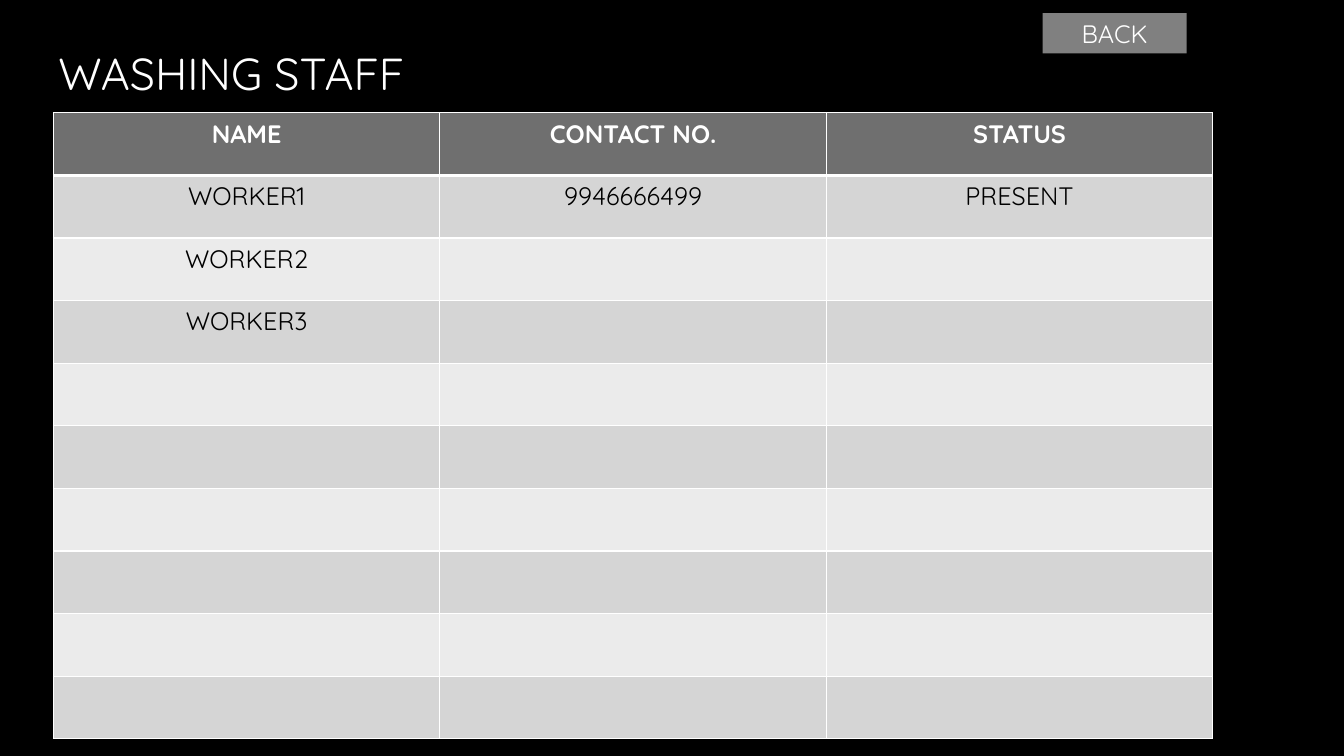
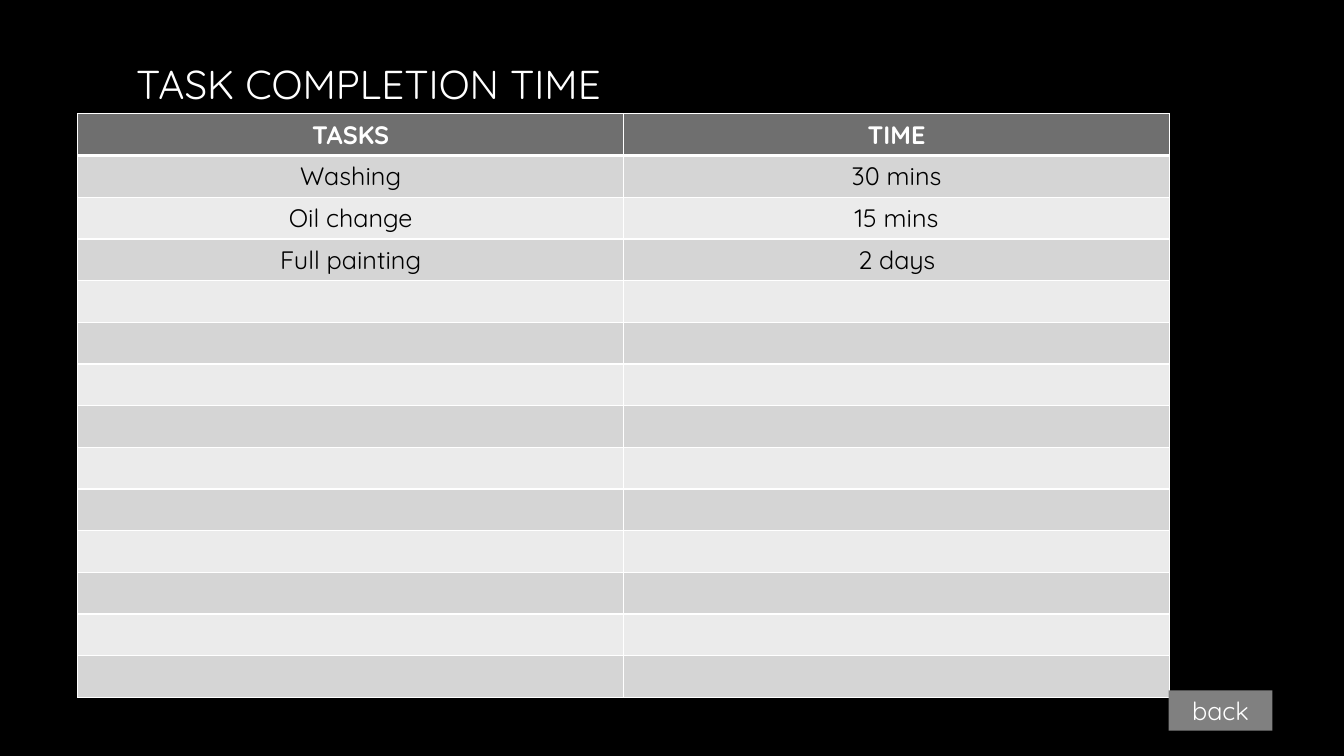
from lxml import etree
from pptx import Presentation
from pptx.dml.color import RGBColor
from pptx.enum.shapes import MSO_SHAPE
from pptx.enum.text import MSO_ANCHOR, MSO_AUTO_SIZE, PP_ALIGN
from pptx.oxml.ns import qn
from pptx.util import Inches, Pt

RECTANGLE = MSO_SHAPE.RECTANGLE
MIDDLE = MSO_ANCHOR.MIDDLE
NO_AUTOFIT = MSO_AUTO_SIZE.NONE
CENTER, LEFT = PP_ALIGN.CENTER, PP_ALIGN.LEFT
TITLE_ONLY = 5
FONT = "Quicksand"
BODY_SIZE = 18
COLORS = {
    "background": "000000",
    "light_text": "FFFFFF",
    "dark_text": "000000",
    "header": "6F6F6F",
    "odd_row": "D5D5D5",
    "even_row": "EBEBEB",
    "button": "808080",
    "border": "FFFFFF",
}


def paint(fill, color):
    fill.solid()
    fill.fore_color.rgb = RGBColor.from_string(COLORS[color])


def write(frame, text, size, color, align, bold=False):
    para = frame.paragraphs[0]
    para.text = text
    para.alignment = align
    para.font.name = FONT
    para.font.size = Pt(size)
    para.font.bold = bold
    para.font.color.rgb = RGBColor.from_string(COLORS[color])


def place(shape, bounds):
    shape.left, shape.top, shape.width, shape.height = map(Inches, bounds)


def add_title_slide(deck, text, size, bounds):
    page = deck.slides.add_slide(deck.slide_layouts[TITLE_ONLY])
    title = page.shapes.title
    place(title, bounds)
    frame = title.text_frame
    frame.auto_size = NO_AUTOFIT
    frame.vertical_anchor = MIDDLE
    write(frame, text, size, "light_text", LEFT)
    return page


def set_borders(cell, top, bottom):
    properties = cell._tc.get_or_add_tcPr()
    for side, width in (("L", 1), ("R", 1), ("T", top), ("B", bottom)):
        line = etree.SubElement(properties, qn(f"a:ln{side}"), w=str(Pt(width)))
        fill = etree.SubElement(line, qn("a:solidFill"))
        etree.SubElement(fill, qn("a:srgbClr"), val=COLORS["border"])


def add_grid(page, rows, row_count, bounds):
    column_count = len(rows[0])
    table = page.shapes.add_table(row_count, column_count, *map(Inches, bounds)).table
    table.horz_banding = False
    for row_index in range(row_count):
        header = row_index == 0
        if header:
            row_color = "header"
        else:
            row_color = "odd_row" if row_index % 2 else "even_row"
        texts = rows[row_index] if row_index < len(rows) else ()
        for column_index in range(column_count):
            cell = table.cell(row_index, column_index)
            set_borders(cell, 3 if row_index == 1 else 1, 3 if header else 1)
            paint(cell.fill, row_color)
            if column_index < len(texts):
                write(cell.text_frame, texts[column_index], BODY_SIZE,
                      "light_text" if header else "dark_text", CENTER, header)


def add_button(page, text, bounds):
    button = page.shapes.add_shape(RECTANGLE, *map(Inches, bounds))
    button.shadow.inherit = False
    paint(button.fill, "button")
    button.line.fill.background()
    button.text_frame.vertical_anchor = MIDDLE
    write(button.text_frame, text, BODY_SIZE, "light_text", CENTER)


def main():
    deck = Presentation()
    deck.slide_width, deck.slide_height = Inches(13.33), Inches(7.5)
    paint(deck.slide_master.background.fill, "background")

    staff = add_title_slide(deck, "WASHING STAFF", 32, (0.48, 0, 7.14, 1.45))
    staff_rows = [
        ("NAME", "CONTACT NO.", "STATUS"),
        ("WORKER1", "9946666499", "PRESENT"),
        ("WORKER2",),
        ("WORKER3",),
    ]
    add_grid(staff, staff_rows, 10, (0.53, 1.12, 11.5, 6.21))
    add_button(staff, "BACK", (10.34, 0.13, 1.43, 0.4))

    tasks = add_title_slide(deck, "TASK COMPLETION TIME", 28.8, (1.25, 0.67, 5.91, 0.32))
    task_rows = [
        ("TASKS", "TIME"),
        ("Washing", "30 mins"),
        ("Oil change", "15 mins"),
        ("Full painting", "2 days"),
    ]
    add_grid(tasks, task_rows, 14, (0.77, 1.13, 10.83, 5.79))
    add_button(tasks, "back", (11.59, 6.85, 1.03, 0.4))

    deck.save("out.pptx")


if __name__ == "__main__":
    main()
